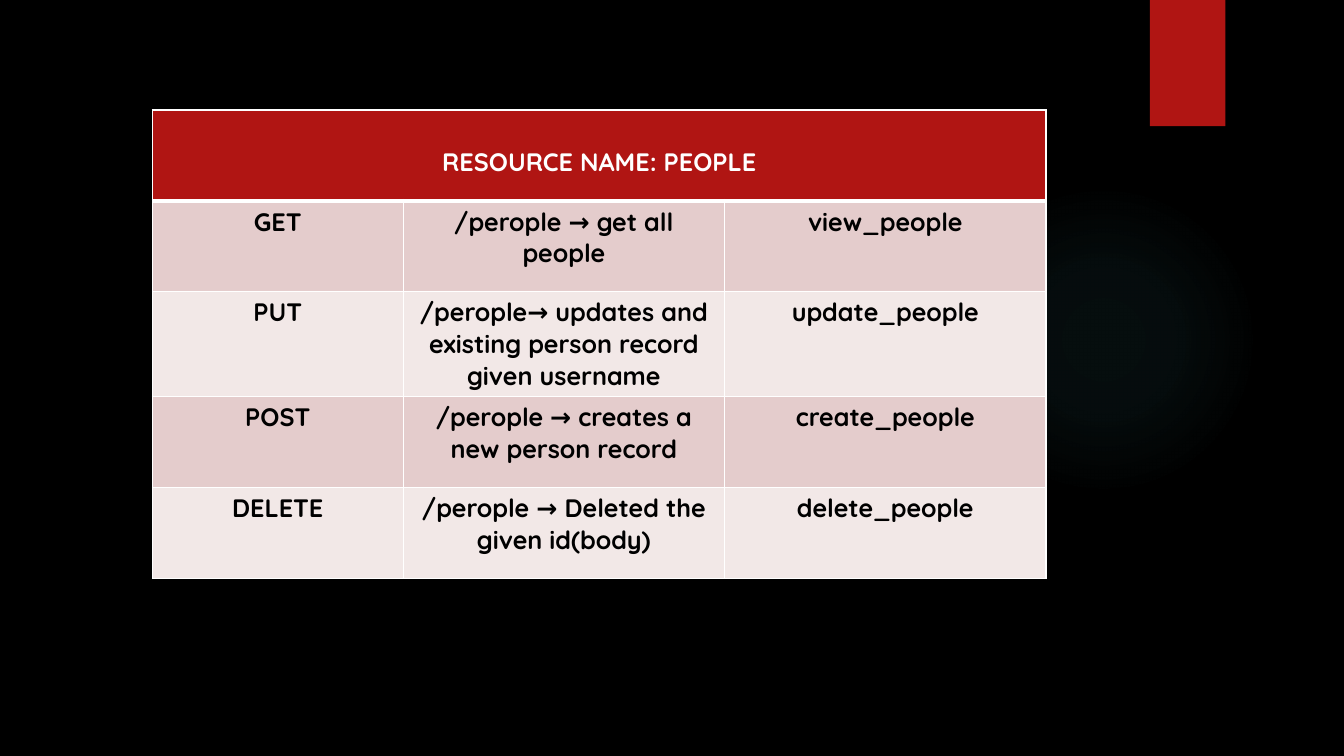
from dataclasses import dataclass

from lxml import etree
from pptx import Presentation
from pptx.dml.color import RGBColor
from pptx.enum.shapes import MSO_SHAPE
from pptx.enum.text import PP_ALIGN
from pptx.oxml import parse_xml
from pptx.oxml.ns import qn
from pptx.shapes.autoshape import Shape
from pptx.slide import Slide
from pptx.table import _Cell
from pptx.util import Cm, Pt

CENTER = PP_ALIGN.CENTER
OVAL = MSO_SHAPE.OVAL
RECTANGLE = MSO_SHAPE.RECTANGLE
DRAWING_NS = "http://schemas.openxmlformats.org/drawingml/2006/main"


@dataclass(frozen=True)
class Theme:
    background: str = "000000"
    accent: str = "B01513"
    glow: str = "50B9C1"
    light: str = "FFFFFF"
    dark: str = "000000"
    bands: tuple[str, str] = ("E4CCCC", "F2E8E7")
    font: str = "Quicksand"
    size: int = 18
    border: int = 1
    header_border: int = 3


@dataclass(frozen=True)
class Box:
    left: float
    top: float
    width: float
    height: float


@dataclass(frozen=True)
class Endpoint:
    method: str
    action: str
    handler: str


THEME = Theme()
GLOW_BOX = Box(23.9, 4.65, 7.82, 7.82)
TAB_BOX = Box(28.98, 0, 1.9, 3.18)
TABLE_BOX = Box(3.84, 2.77, 22.52, 11.45)
COLUMN_WIDTHS = (6.32, 8.1, 8.1)
HEADER_TOP_MARGIN = 0.92
HEADER = "RESOURCE NAME: PEOPLE"
GLOW_STOPS = ((0, 7), (36, 6), (69, 0))
ENDPOINTS = (
    Endpoint("GET", "/perople → get all people", "view_people"),
    Endpoint("PUT", "/perople→ updates and existing person record given username", "update_people"),
    Endpoint("POST", "/perople → creates a new person record", "create_people"),
    Endpoint("DELETE", "/perople → Deleted the given id(body)", "delete_people"),
)


def rgb(color: str) -> RGBColor:
    return RGBColor.from_string(color)


def add_plain_shape(s: Slide, kind: MSO_SHAPE, box: Box, color: str) -> Shape:
    sp = s.shapes.add_shape(kind, Cm(box.left), Cm(box.top), Cm(box.width), Cm(box.height))
    sp.shadow.inherit = False
    sp.fill.solid()
    sp.fill.fore_color.rgb = rgb(color)
    sp.line.fill.background()
    return sp


def add_glow(s: Slide) -> None:
    sp = add_plain_shape(s, OVAL, GLOW_BOX, THEME.glow)
    stops = "".join(
        f'<a:gs pos="{pos * 1000}"><a:srgbClr val="{THEME.glow}">'
        f'<a:alpha val="{alpha * 1000}"/></a:srgbClr></a:gs>'
        for pos, alpha in GLOW_STOPS
    )
    gradient = parse_xml(
        f'<a:gradFill xmlns:a="{DRAWING_NS}"><a:gsLst>{stops}</a:gsLst>'
        '<a:path path="circle"><a:fillToRect l="50000" t="50000" r="50000" b="50000"/>'
        "</a:path></a:gradFill>"
    )
    props = sp._element.spPr
    props.replace(props.find(qn("a:solidFill")), gradient)


def set_borders(cell: _Cell, top: int, bottom: int) -> None:
    props = cell._tc.get_or_add_tcPr()
    sides = (("L", THEME.border), ("R", THEME.border), ("T", top), ("B", bottom))
    for side, width in sides:
        ln = etree.SubElement(props, qn(f"a:ln{side}"), w=str(Pt(width)))
        fill = etree.SubElement(ln, qn("a:solidFill"))
        etree.SubElement(fill, qn("a:srgbClr"), val=THEME.light)


def format_cell(cell: _Cell, text: str, fill: str, color: str) -> None:
    cell.fill.solid()
    cell.fill.fore_color.rgb = rgb(fill)
    cell.text_frame.text = text
    p = cell.text_frame.paragraphs[0]
    p.alignment = CENTER
    p.font.size = Pt(THEME.size)
    for r in p.runs:
        r.font.name = THEME.font
        r.font.size = Pt(THEME.size)
        r.font.bold = True
        r.font.color.rgb = rgb(color)


def add_endpoint_table(s: Slide) -> None:
    box = TABLE_BOX
    table = s.shapes.add_table(
        len(ENDPOINTS) + 1, len(COLUMN_WIDTHS),
        Cm(box.left), Cm(box.top), Cm(box.width), Cm(box.height),
    ).table
    for column, width in zip(table.columns, COLUMN_WIDTHS):
        column.width = Cm(width)

    header = table.cell(0, 0)
    header.merge(table.cell(0, len(COLUMN_WIDTHS) - 1))
    for cell in table.rows[0].cells:
        set_borders(cell, THEME.border, THEME.header_border)
        format_cell(cell, "", THEME.accent, THEME.light)
    format_cell(header, HEADER, THEME.accent, THEME.light)
    header.margin_top = Cm(HEADER_TOP_MARGIN)

    for i, endpoint in enumerate(ENDPOINTS):
        top = THEME.border if i else THEME.header_border
        texts = (endpoint.method, endpoint.action, endpoint.handler)
        for cell, text in zip(table.rows[i + 1].cells, texts):
            set_borders(cell, top, THEME.border)
            format_cell(cell, text, THEME.bands[i % 2], THEME.dark)


def main() -> None:
    prs = Presentation()
    prs.slide_width, prs.slide_height = Cm(33.87), Cm(19.05)
    s = prs.slides.add_slide(prs.slide_layouts[6])
    s.background.fill.solid()
    s.background.fill.fore_color.rgb = rgb(THEME.background)
    add_glow(s)
    add_plain_shape(s, RECTANGLE, TAB_BOX, THEME.accent)
    add_endpoint_table(s)
    prs.save("out.pptx")


if __name__ == "__main__":
    main()
